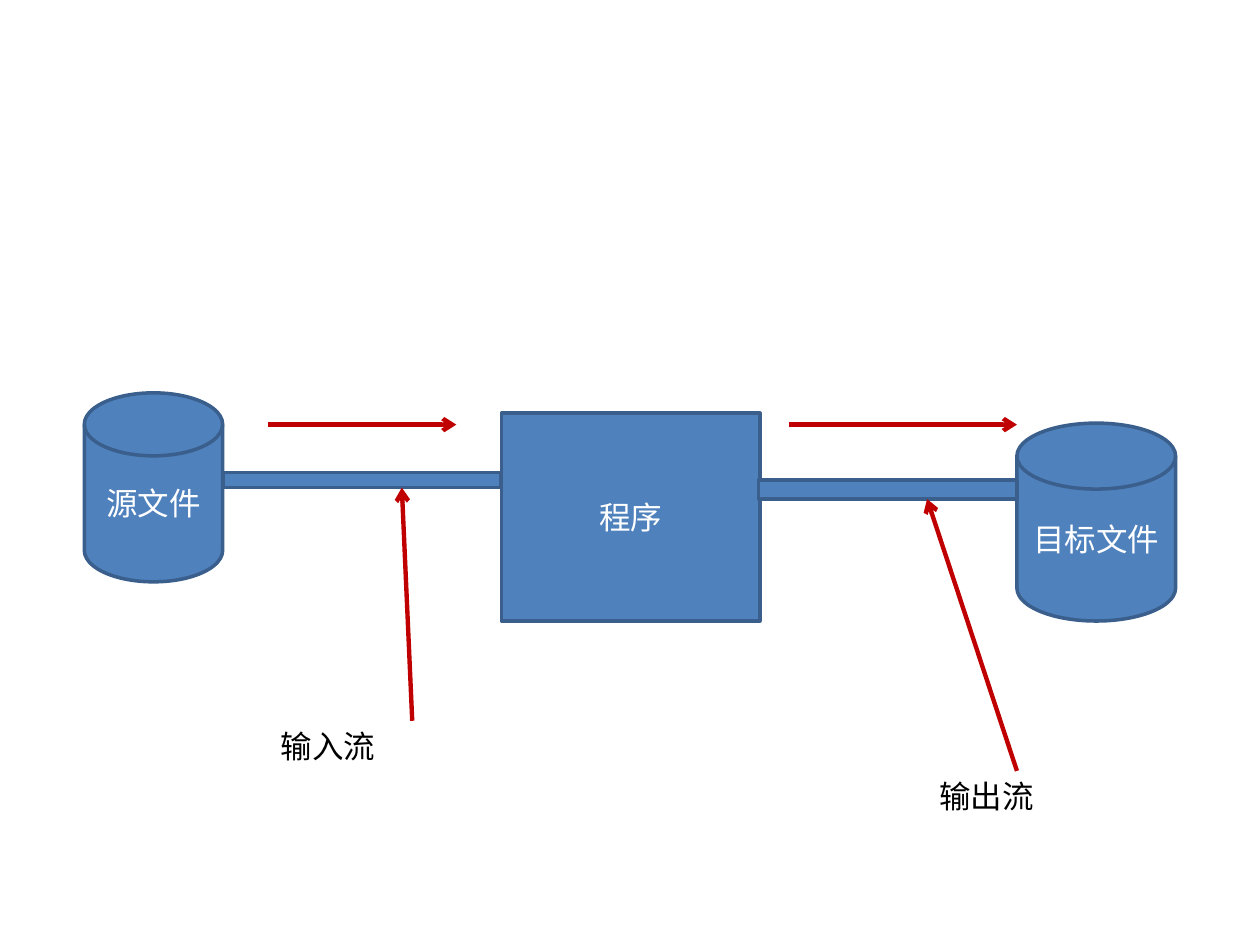
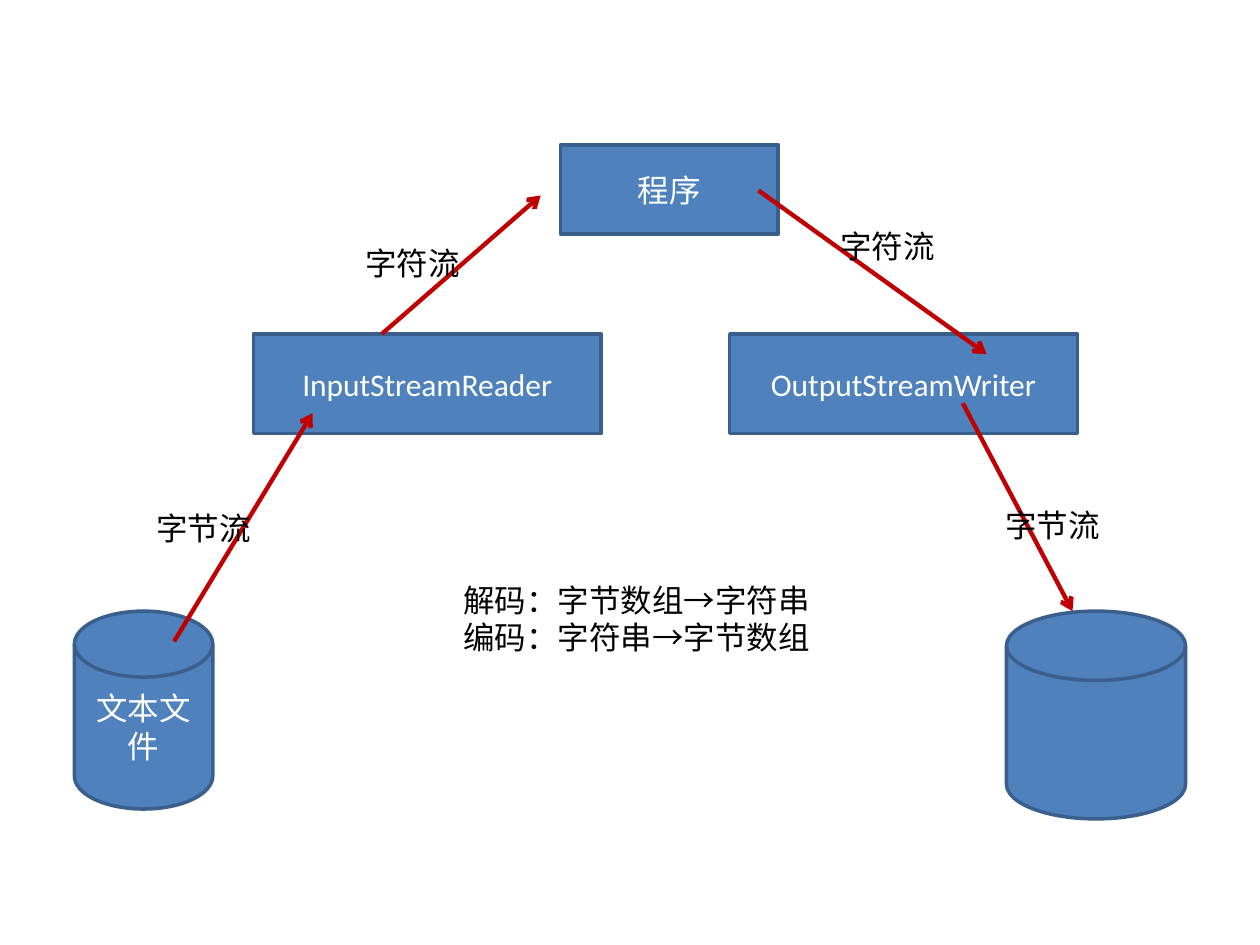
from lxml import etree
from pptx import Presentation
from pptx.dml.color import RGBColor
from pptx.enum.shapes import MSO_CONNECTOR, MSO_SHAPE
from pptx.enum.text import MSO_ANCHOR, MSO_AUTO_SIZE, PP_ALIGN
from pptx.oxml.ns import qn
from pptx.util import Cm, Pt

COLORS = {"fill": "4F81BD", "edge": "3A5F8C", "arrow": "C00000",
          "light": "FFFFFF", "dark": "000000"}
FONT = "Calibri"
DISK = MSO_SHAPE.FLOWCHART_MAGNETIC_DISK
RECT = MSO_SHAPE.RECTANGLE


def color(name):
    """Return a named colour."""
    return RGBColor.from_string(COLORS[name])


def write(frame, lines, ink, align):
    """Fill a text frame with one paragraph for each line."""
    frame.word_wrap = True
    for i, line in enumerate(lines):
        paragraph = frame.paragraphs[0] if i == 0 else frame.add_paragraph()
        paragraph.alignment = align
        run = paragraph.add_run()
        run.text = line
        run.font.size, run.font.name = Pt(18), FONT
        run.font.color.rgb = color(ink)


def node(slide, kind, box, text=None):
    """Draw a filled shape with an optional centred caption."""
    shape = slide.shapes.add_shape(kind, *map(Cm, box))
    shape.shadow.inherit = False
    shape.fill.solid()
    shape.fill.fore_color.rgb = color("fill")
    shape.line.color.rgb = color("edge")
    shape.line.width = Pt(2)
    if text:
        shape.text_frame.vertical_anchor = MSO_ANCHOR.MIDDLE
        write(shape.text_frame, [text], "light", PP_ALIGN.CENTER)


def label(slide, left, top, width, *lines):
    """Place plain dark text, one paragraph a line."""
    height = 0.25 + 0.77 * len(lines)
    frame = slide.shapes.add_textbox(*map(Cm, (left, top, width, height))).text_frame
    frame.auto_size = MSO_AUTO_SIZE.SHAPE_TO_FIT_TEXT
    write(frame, lines, "dark", PP_ALIGN.LEFT)


def arrow(slide, start, end):
    """Draw a red arrow from start to end."""
    line = slide.shapes.add_connector(MSO_CONNECTOR.STRAIGHT, *map(Cm, (*start, *end)))
    line.line.color.rgb = color("arrow")
    line.line.width = Pt(2.5)
    etree.SubElement(line.line._get_or_add_ln(), qn("a:tailEnd"), type="arrow")
    etree.SubElement(line._element.spPr, qn("a:effectLst"))


def stream(slide, pipe, flow, pointer, drop, caption):
    """Draw a pipe, its flow arrow above and its named pointer below."""
    left, top, _, height = pipe
    flow_start, flow_end, flow_y = flow
    tail, tip = pointer
    label_left, label_width, text = caption
    bottom = top + height
    node(slide, RECT, pipe)
    arrow(slide, (left + flow_start, flow_y), (left + flow_end, flow_y))
    arrow(slide, (left + tail, bottom + drop), (left + tip, bottom))
    label(slide, left + label_left, bottom + drop, label_width, text)


def branch(slide, origin, converter, disk, arrows, labels):
    """Draw a disk, a converter and the two streams that join them to the program."""
    x, y = origin
    left, name = converter
    disk_left, disk_width, disk_height, disk_text = disk
    node(slide, DISK, (x + disk_left, y + 9.4, disk_width, disk_height), disk_text)
    node(slide, RECT, (x + left, y + 3.81, 7.01, 2.01), name)
    for x1, y1, x2, y2 in arrows:
        arrow(slide, (x + x1, y + y1), (x + x2, y + y2))
    for (dx, dy, width), text in zip(labels, ("字符流", "字节流")):
        label(slide, x + dx, y + dy, width, text)


def stream_slide(slide):
    """Show the input and output streams around the program."""
    node(slide, DISK, (1.7, 7.92, 2.79, 3.81), "源文件")
    node(slide, RECT, (10.11, 8.33, 5.21, 4.19), "程序")
    node(slide, DISK, (20.5, 8.53, 3.2, 3.99), "目标文件")
    stream(slide, (4.5, 9.53, 5.59, 0.3), (0.91, 4.7, 8.56),
           (3.81, 3.6), 4.7, (0.91, 5.89, "输入流"))
    stream(slide, (15.29, 9.68, 5.21, 0.38), (0.61, 5.21, 8.56),
           (5.21, 3.4), 5.48, (3.4, 5.41, "输出流"))


def conversion_slide(slide):
    """Show decoding on the way in and encoding on the way out."""
    node(slide, RECT, (11.3, 2.92, 4.39, 1.8), "程序")
    branch(slide, (1.5, 2.92), (3.61, "InputStreamReader"),
           (0, 2.79, 3.99, "文本文件"),
           [(2.01, 10.01, 4.8, 5.41), (6.2, 3.81, 9.4, 1.02)],
           [(5.61, 1.88, 3.81), (1.4, 7.21, 3.4)])
    branch(slide, (14.71, 2.92), (0, "OutputStreamWriter"),
           (5.58, 3.61, 4.19, None),
           [(0.58, 0.92, 5.18, 4.22), (4.7, 5.21, 6.91, 9.4)],
           [(1.98, 1.53, 4.19), (5.31, 7.16, 3.2)])
    label(slide, 9.09, 11.58, 9.19, "解码：字节数组→字符串", "编码：字符串→字节数组")


def main():
    """Build and save the presentation."""
    deck = Presentation()
    deck.slide_width, deck.slide_height = Cm(25.4), Cm(19.05)
    for build in (stream_slide, conversion_slide):
        slide = deck.slides.add_slide(deck.slide_layouts[6])
        slide.background.fill.solid()
        slide.background.fill.fore_color.rgb = color("light")
        build(slide)
    deck.save("out.pptx")


main()
